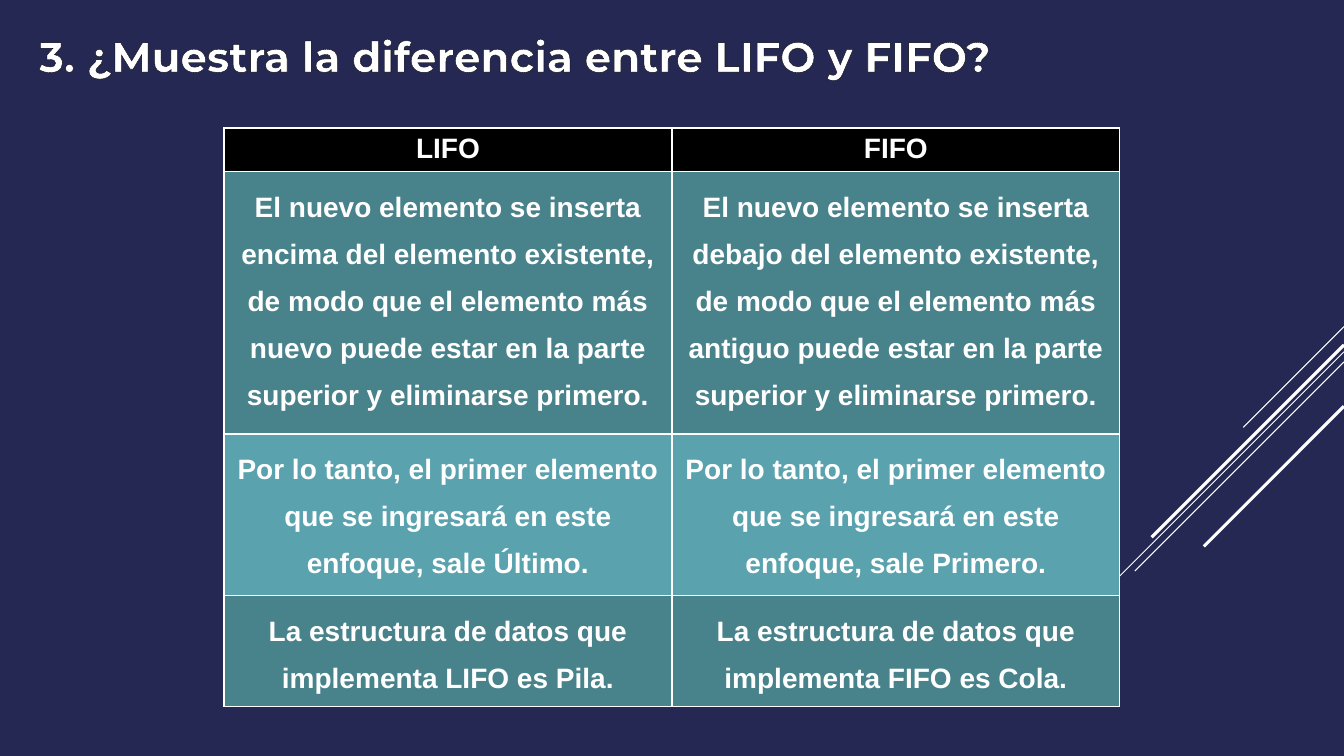
from lxml import etree
from pptx import Presentation
from pptx import util as u
from pptx.dml.color import RGBColor
from pptx.enum import shapes, text
from pptx.oxml import ns

WHITE = RGBColor(0xFF, 0xFF, 0xFF)
BLACK = RGBColor(0x00, 0x00, 0x00)
NAVY = RGBColor(0x24, 0x28, 0x52)
TEAL_DARK = RGBColor(0x48, 0x82, 0x8B)
TEAL_LIGHT = RGBColor(0x5A, 0xA2, 0xAE)

WIDTH, HEIGHT = 960, 540

# Each diagonal meets the right edge at y and runs down-left by the same run in x and y.
DIAGONALS = [  # y, run, weight
    (233.3, 72, 0.75),
    (251.3, 234.7, 0.75),
    (258.5, 149.4, 0.75),
    (246.4, 137.4, 2.25),
    (290.2, 100.1, 2.25),
]

ROWS = [  # height, fill, line spacing, cell texts
    (31.4, BLACK, 1.0, ["LIFO", "FIFO"]),
    (187, TEAL_DARK, 1.5, [
        "El nuevo elemento se inserta encima del elemento existente, de modo que "
        "el elemento más nuevo puede estar en la parte superior y eliminarse primero.",
        "El nuevo elemento se inserta debajo del elemento existente, de modo que "
        "el elemento más antiguo puede estar en la parte superior y eliminarse primero."]),
    (115, TEAL_LIGHT, 1.5, [
        "Por lo tanto, el primer elemento que se ingresará en este enfoque, sale Último.",
        "Por lo tanto, el primer elemento que se ingresará en este enfoque, sale Primero."]),
    (79.3, TEAL_DARK, 1.5, [
        "La estructura de datos que implementa LIFO es Pila.",
        "La estructura de datos que implementa FIFO es Cola."]),
]


def line_xml(tag, color, weight):
    """Return a solid DrawingML line element under the given tag."""
    ln = etree.Element(ns.qn(tag), w=str(u.Pt(weight)))
    fill = etree.SubElement(ln, ns.qn("a:solidFill"))
    etree.SubElement(fill, ns.qn("a:srgbClr"), val=str(color))
    return ln


class Deck:
    title_font, body_font = "Montserrat", "Arial"
    title_size, body_size = 30, 20

    def __init__(self, prs):
        self.s = prs.slides.add_slide(prs.slide_layouts[6])

    def background(self, color):
        fill = self.s.background.fill
        fill.solid()
        fill.fore_color.rgb = color

    def style(self, p, name, size):
        p.font.name = name
        p.font.size = u.Pt(size)
        p.font.bold = True
        p.font.color.rgb = WHITE

    def line(self, x1, y1, x2, y2, weight):
        c = self.s.shapes.add_connector(
            shapes.MSO_CONNECTOR.STRAIGHT, u.Pt(x1), u.Pt(y1), u.Pt(x2), u.Pt(y2))
        c.line.color.rgb = WHITE
        c.line.width = u.Pt(weight)
        etree.SubElement(c._element.spPr, ns.qn("a:effectLst"))

    def title(self, words, x, y, w, h):
        sp = self.s.shapes.add_textbox(u.Pt(x), u.Pt(y), u.Pt(w), u.Pt(h))
        tf = sp.text_frame
        tf.word_wrap = True
        tf.auto_size = text.MSO_AUTO_SIZE.SHAPE_TO_FIT_TEXT
        p = tf.paragraphs[0]
        r = p.add_run()
        r.text = words
        self.style(p, self.title_font, self.title_size)
        r._r.get_or_add_rPr().insert(0, line_xml("a:ln", BLACK, 0.75))

    def cell(self, cell, words, fill, spacing):
        cell.fill.solid()
        cell.fill.fore_color.rgb = fill
        tcPr = cell._tc.get_or_add_tcPr()
        for i, side in enumerate("LRTB"):
            tcPr.insert(i, line_xml(f"a:ln{side}", WHITE, 1))
        p = cell.text_frame.paragraphs[0]
        p.text = words
        p.alignment = text.PP_ALIGN.CENTER
        p.line_spacing = spacing
        self.style(p, self.body_font, self.body_size)

    def table(self, rows, x, y, col_width):
        cols = len(rows[0][3])
        height = sum(row[0] for row in rows)
        table = self.s.shapes.add_table(
            len(rows), cols, u.Pt(x), u.Pt(y), u.Pt(col_width * cols), u.Pt(height)).table
        table.first_row = table.horz_banding = False
        for i, (row_height, fill, spacing, words) in enumerate(rows):
            table.rows[i].height = u.Pt(row_height)
            for j, content in enumerate(words):
                self.cell(table.cell(i, j), content, fill, spacing)


def main():
    prs = Presentation()
    prs.slide_width, prs.slide_height = u.Pt(WIDTH), u.Pt(HEIGHT)
    deck = Deck(prs)
    deck.background(NAVY)
    for y, run, weight in DIAGONALS:
        deck.line(WIDTH, y, WIDTH - run, y + run, weight)
    deck.title("3. ¿Muestra la diferencia entre LIFO y FIFO?", 20.9, 18, 756, 43.9)
    deck.table(ROWS, 160, 91.4, 320)
    prs.save("out.pptx")


if __name__ == "__main__":
    main()
